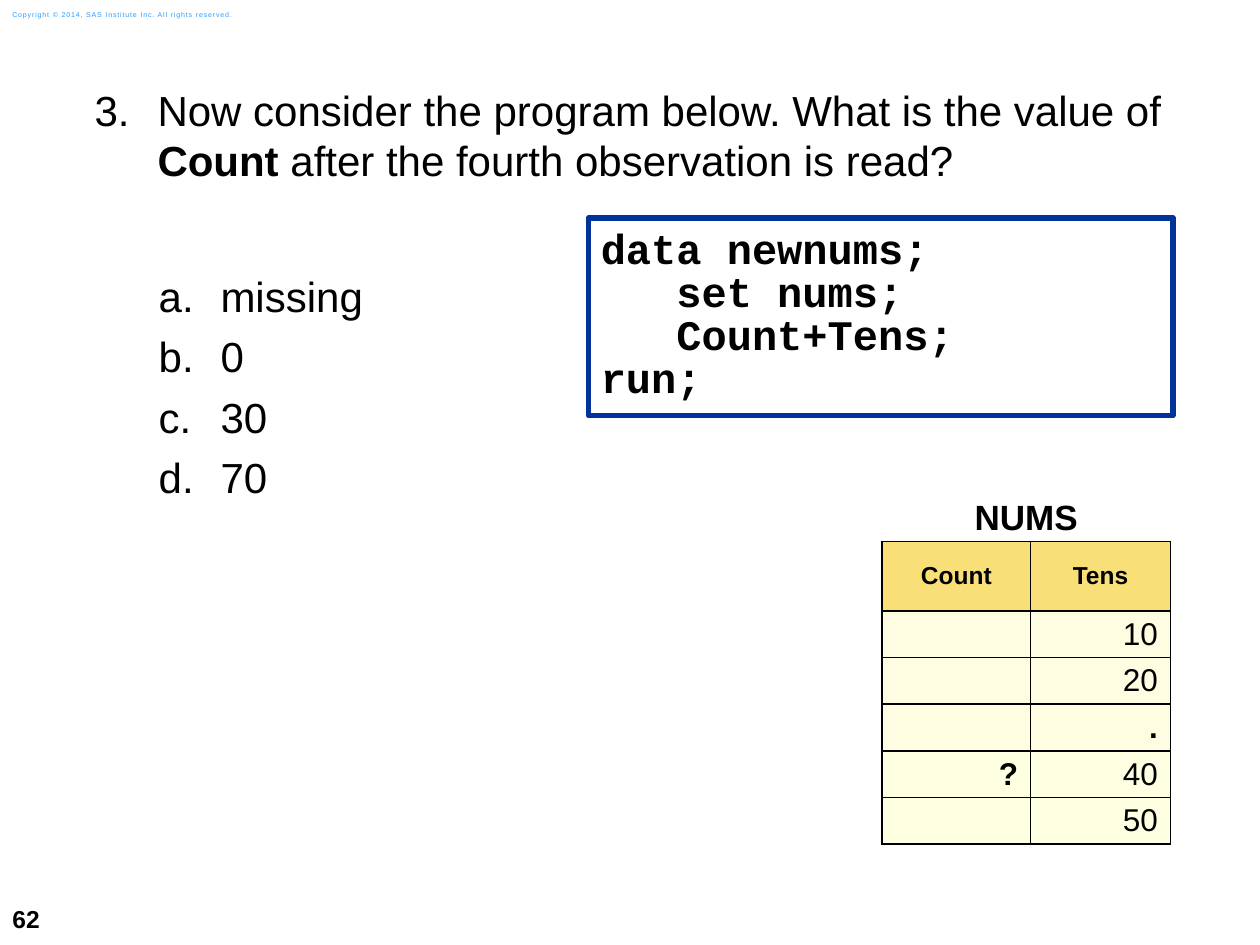
from lxml import etree
from pptx import Presentation
from pptx.dml.color import RGBColor
from pptx.enum.shapes import MSO_SHAPE
from pptx.enum.text import MSO_ANCHOR, MSO_AUTO_SIZE, PP_ALIGN
from pptx.oxml.ns import qn
from pptx.util import Inches, Pt

RECT = MSO_SHAPE.RECTANGLE
TOP, MIDDLE = MSO_ANCHOR.TOP, MSO_ANCHOR.MIDDLE
LEFT, CENTER, RIGHT = PP_ALIGN.LEFT, PP_ALIGN.CENTER, PP_ALIGN.RIGHT
NO_FIT = MSO_AUTO_SIZE.NONE

BLACK = RGBColor(0x00, 0x00, 0x00)
WHITE = RGBColor(0xFF, 0xFF, 0xFF)
NAVY = RGBColor(0x00, 0x33, 0x99)
SKY = RGBColor(0x2A, 0x9C, 0xFF)
GOLD = RGBColor(0xF9, 0xDF, 0x78)
CREAM = RGBColor(0xFF, 0xFD, 0xE1)
PALE = RGBColor(0xFF, 0xFF, 0xE1)

# Content
NUMBER = "62"
RIGHTS = "Copyright © 2014, SAS Institute Inc. All rights reserved."
QUESTION = [
    ("Now consider the program below. What is the value of ", False),
    ("Count", True),
    (" after the fourth observation is read?", False),
]
OPTIONS = ["missing", "0", "30", "70"]
CODE = ["data newnums;", "   set nums;", "   Count+Tens;", "run;"]
CAPTION = "NUMS"
HEADS = ["Count", "Tens"]
ROWS = [
    ("", "10", CREAM),
    ("", "20", CREAM),
    ("", ".", CREAM),
    ("?", "40", PALE),
    ("", "50", PALE),
]
WIDTHS = [1.18, 1.11]
HEIGHTS = [0.37, 0.55] + [0.37] * len(ROWS)


def style(font, **values):
    base = {"name": "Arial", "size": Pt(24), "bold": False}
    for key, value in {**base, **values}.items():
        if key == "color":
            font.color.rgb = value
        else:
            setattr(font, key, value)


def add_run(para, text, color=BLACK, **values):
    run = para.add_run()
    run.text = text
    style(run.font, color=color, **values)
    return run


def set_frame(frame, margins, **values):
    sides = ("left", "top", "right", "bottom")
    for side, size in zip(sides, margins):
        setattr(frame, "margin_" + side, Inches(size))
    for key, value in values.items():
        setattr(frame, key, value)


def add_label(slide, place, text, wrap, **values):
    box = slide.shapes.add_textbox(*map(Inches, place))
    set_frame(box.text_frame, (0.1, 0.05, 0.1, 0.05),
              word_wrap=wrap, vertical_anchor=MIDDLE)
    return add_run(box.text_frame.paragraphs[0], text, **values)


def add_number(para, kind, start, left, hang):
    props = para._p.get_or_add_pPr()
    props.set("marL", str(Inches(left)))
    props.set("indent", str(Inches(-hang)))
    color = etree.SubElement(props, qn("a:buClr"))
    etree.SubElement(color, qn("a:srgbClr"), val=str(BLACK))
    etree.SubElement(props, qn("a:buFont"), typeface="Arial")
    etree.SubElement(props, qn("a:buAutoNum"), type=kind, startAt=str(start))


def set_border(cell, shown):
    props = cell._tc.get_or_add_tcPr()
    for spot, side in enumerate("LRTB"):
        line = etree.Element(qn("a:ln" + side), w=str(Pt(1)))
        if side in shown:
            fill = etree.SubElement(line, qn("a:solidFill"))
            etree.SubElement(fill, qn("a:srgbClr"), val=str(BLACK))
        else:
            etree.SubElement(line, qn("a:noFill"))
        props.insert(spot, line)


def fill_cell(cell, text, fill, align, size, bold):
    set_frame(cell, (0.1, 0, 0.1, 0), vertical_anchor=MIDDLE)
    para = cell.text_frame.paragraphs[0]
    para.alignment = align
    if text:
        add_run(para, text, size=Pt(size), bold=bold)
    if fill:
        cell.fill.solid()
        cell.fill.fore_color.rgb = fill
    else:
        cell.fill.background()
    set_border(cell, "LRTB" if fill else "B")


def add_quiz(slide):
    body = slide.placeholders[1]
    body.left, body.top = Inches(0.75), Inches(0.67)
    body.width, body.height = Inches(8.58), Inches(4.67)
    frame = body.text_frame
    set_frame(frame, (0, 0, 0, 0), word_wrap=True,
              auto_size=NO_FIT, vertical_anchor=TOP)

    ask = frame.paragraphs[0]
    add_number(ask, "arabicPeriod", 3, 0.5, 0.5)
    ask.space_before, ask.space_after = Pt(0), Pt(5)
    for text, bold in QUESTION:
        add_run(ask, text, bold=bold)

    for spot, text in enumerate(OPTIONS):
        para = frame.add_paragraph()
        para.level = 1
        add_number(para, "alphaLcPeriod", 1, 1, 0.49)
        para.space_before = Pt(0.5 if spot else 44)
        para.space_after = Pt(5)
        add_run(para, text)


def add_code(slide):
    box = slide.shapes.add_shape(
        RECT, *map(Inches, (4.67, 1.73, 4.64, 1.57)))
    box.shadow.inherit = False
    box.fill.solid()
    box.fill.fore_color.rgb = WHITE
    box.line.color.rgb = NAVY
    box.line.width = Pt(3)
    frame = box.text_frame
    set_frame(frame, (0.1, 0.1, 0.29, 0.1),
              word_wrap=True, vertical_anchor=TOP)
    for spot, text in enumerate(CODE):
        para = frame.add_paragraph() if spot else frame.paragraphs[0]
        para.alignment = LEFT
        para.line_spacing = 0.85
        add_run(para, text, name="Courier New", bold=True)


def add_nums(slide):
    place = (7, 3.93, sum(WIDTHS), sum(HEIGHTS))
    table = slide.shapes.add_table(
        len(HEIGHTS), len(WIDTHS), *map(Inches, place)).table
    table.first_row = table.horz_banding = False
    for col, width in zip(table.columns, WIDTHS):
        col.width = Inches(width)
    for row, height in zip(table.rows, HEIGHTS):
        row.height = Inches(height)

    # Caption across both columns, then heads and values
    table.cell(0, 0).merge(table.cell(0, 1))
    for col, text in enumerate((CAPTION, "")):
        fill_cell(table.cell(0, col), text, None, CENTER, 20, True)
    for col, text in enumerate(HEADS):
        fill_cell(table.cell(1, col), text, GOLD, CENTER, 14, True)
    for row, (*texts, fill) in enumerate(ROWS, 2):
        for col, text in enumerate(texts):
            fill_cell(table.cell(row, col), text, fill, RIGHT, 18,
                      text in ("?", "."))


def main():
    deck = Presentation()
    deck.slide_width, deck.slide_height = Inches(10), Inches(7.5)
    slide = deck.slides.add_slide(deck.slide_layouts[1])
    title = slide.shapes.title.element
    title.getparent().remove(title)

    # Page number and rights line
    add_label(slide, (0, 7.08, 0.58, 0.42), NUMBER, False,
              size=Pt(14), bold=True)
    rights = add_label(slide, (0, 0.03, 2.11, 0.17), RIGHTS, True,
                       size=Pt(4), color=SKY)
    rights.font._element.set("spc", "50")

    add_quiz(slide)
    add_code(slide)
    add_nums(slide)
    deck.save("out.pptx")


if __name__ == "__main__":
    main()
